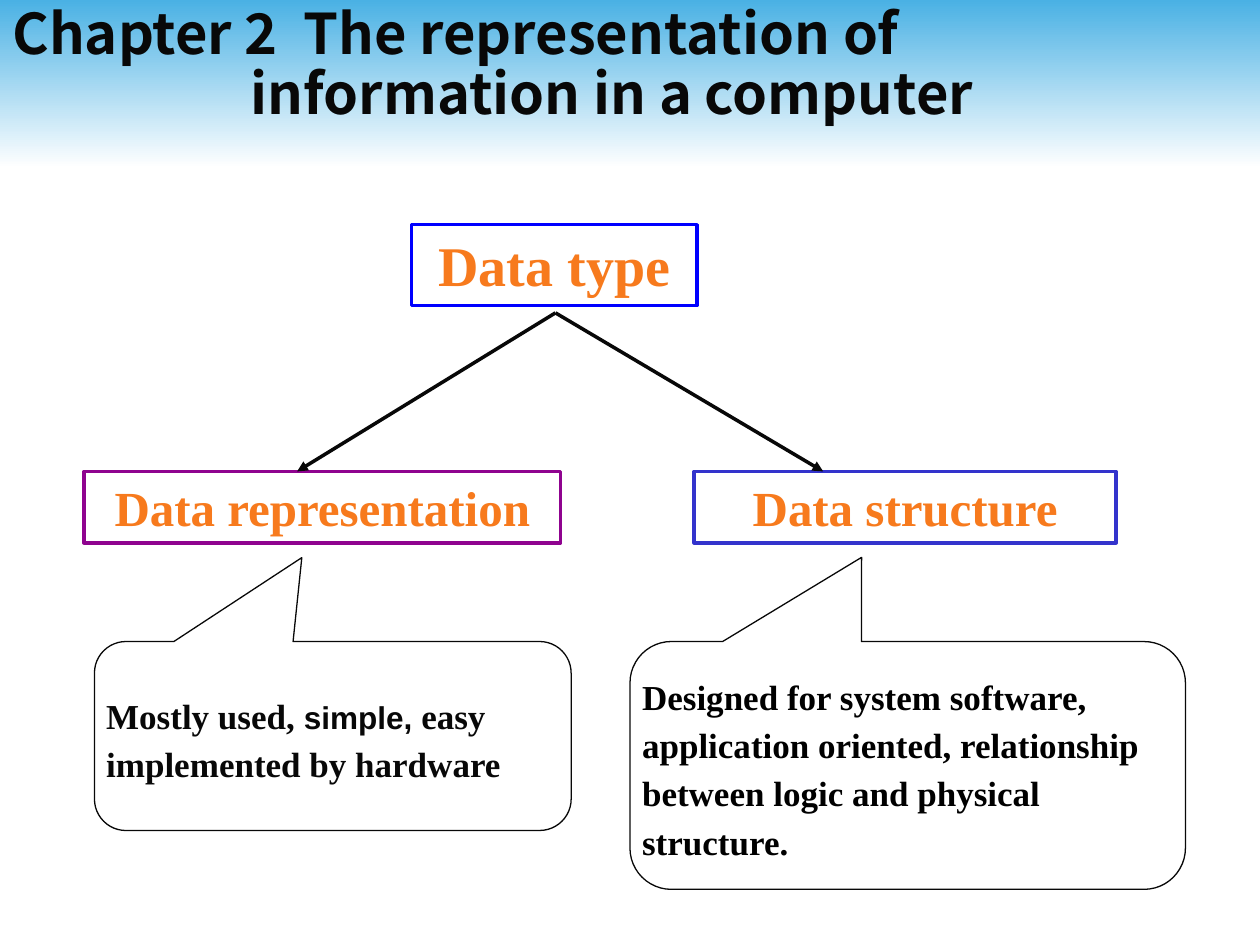
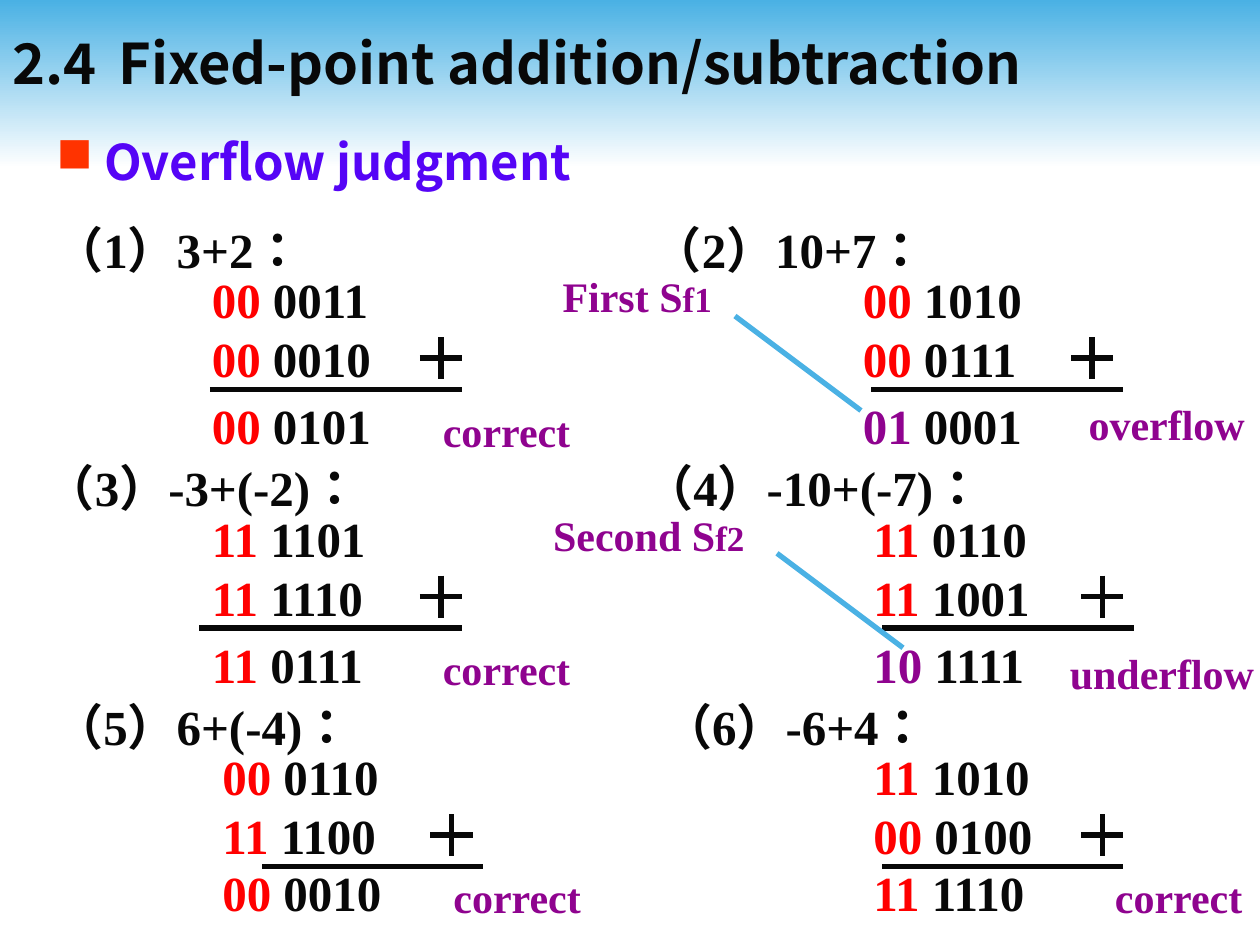
from dataclasses import dataclass
from typing import NamedTuple

from lxml import etree
from pptx import Presentation
from pptx.dml.color import RGBColor
from pptx.enum.shapes import MSO_CONNECTOR, MSO_SHAPE
from pptx.enum.text import MSO_ANCHOR, MSO_AUTO_SIZE, PP_ALIGN
from pptx.oxml.ns import qn
from pptx.util import Inches, Pt

RECTANGLE = MSO_SHAPE.RECTANGLE
CALLOUT = MSO_SHAPE.ROUNDED_RECTANGULAR_CALLOUT
STRAIGHT = MSO_CONNECTOR.STRAIGHT
TOP, MIDDLE = MSO_ANCHOR.TOP, MSO_ANCHOR.MIDDLE
LEFT, CENTER = PP_ALIGN.LEFT, PP_ALIGN.CENTER
GROW, FIXED = MSO_AUTO_SIZE.SHAPE_TO_FIT_TEXT, MSO_AUTO_SIZE.NONE

# The slide is a grid of 120 columns by 90 rows of square cells.
COLUMNS, ROWS = 120, 90
WIDTH, HEIGHT = Inches(10), Inches(7.5)
CELL = WIDTH / COLUMNS

INK, BLACK, SKY, WHITE = "080808", "000000", "4AB1E4", "FFFFFF"
ORANGE, PURPLE, RED = "F77A1D", "8F038F", "FF0000"
BLUE, INDIGO, VIOLET, BULLET = "0000FF", "3333CC", "5504F6", "FF3300"
SERIF, SANS, HEADING = "Times New Roman", "Arial", "Noto Sans CJK JP"


class Area(NamedTuple):
    left: float
    top: float
    width: float
    height: float


class Point(NamedTuple):
    x: float
    y: float


class Span(NamedTuple):
    text: str
    colour: str = INK
    size: float = 28
    font: str = SERIF


@dataclass
class Para:
    spans: list[Span]
    align: PP_ALIGN = LEFT
    spacing: float = 1.0
    indent: float = 0
    tab: float = 0
    bullet: str = ""


@dataclass
class Topic:
    text: str
    area: Area
    size: float
    outline: str


@dataclass
class Remark:
    spans: list[Span]
    area: Area
    pointer: tuple[float, float]
    margin: float


@dataclass
class Sum:
    heading: str
    heading_left: float
    heading_width: float
    number_left: float
    numbers: list[str]
    rule: tuple[float, float]
    verdict: str
    verdict_area: Area
    sign_colour: str = RED
    lift: float = 0


@dataclass
class Pointer:
    text: str
    subscript: str
    area: Area
    start: Point
    end: Point


def cells(*counts: float) -> list[int]:
    return [round(count * CELL) for count in counts]


def colour_of(code: str) -> RGBColor:
    return RGBColor.from_string(code)


def add_element(parent, tag: str, **attributes: str):
    return etree.SubElement(parent, qn(tag), attributes)


def write_span(paragraph, span: Span) -> None:
    run = paragraph.add_run()
    run.text = span.text
    values = {"name": span.font, "size": Pt(span.size), "bold": True}
    for name, value in values.items():
        setattr(run.font, name, value)
    run.font.color.rgb = colour_of(span.colour)
    add_element(run.font._element, "a:ea", typeface=HEADING)


def write_para(paragraph, para: Para) -> None:
    paragraph.alignment = para.align
    paragraph.line_spacing = para.spacing
    properties = paragraph._p.get_or_add_pPr()
    if para.indent:
        properties.set("marL", str(Inches(para.indent)))
    if para.bullet:
        properties.set("indent", str(-Inches(para.indent)))
        colour = add_element(properties, "a:buClr")
        add_element(colour, "a:srgbClr", val=BULLET)
        add_element(properties, "a:buChar", char=para.bullet)
    if para.tab:
        tabs = add_element(properties, "a:tabLst")
        add_element(tabs, "a:tab", pos=str(Inches(para.tab)), algn="l")
    for span in para.spans:
        write_span(paragraph, span)


def write_text(box, paras: list[Para], **changes) -> None:
    """Fill a box; changes override the usual frame settings."""
    frame = box.text_frame
    settings = {
        "word_wrap": True, "auto_size": GROW, "vertical_anchor": TOP,
        "margin_left": Inches(0.1), "margin_right": Inches(0.1),
        "margin_top": Inches(0.05), "margin_bottom": Inches(0.05),
    }
    for name, value in (settings | changes).items():
        setattr(frame, name, value)
    for index, para in enumerate(paras):
        write_para(frame.add_paragraph() if index else frame.paragraphs[0], para)


def add_label(slide, area: Area, *paras: Para, **changes) -> None:
    write_text(slide.shapes.add_textbox(*cells(*area)), list(paras), **changes)


def add_outline(slide, kind: MSO_SHAPE, area: Area, colour: str, weight: float):
    shape = slide.shapes.add_shape(kind, *cells(*area))
    shape.shadow.inherit = False
    shape.fill.background()
    shape.line.color.rgb = colour_of(colour)
    shape.line.width = Pt(weight)
    return shape


def add_line(slide, start: Point, end: Point, colour: str = INK,
             weight: float = 3, arrow: bool = False) -> None:
    line = slide.shapes.add_connector(STRAIGHT, *cells(*start, *end))
    line.line.color.rgb = colour_of(colour)
    line.line.width = Pt(weight)
    if arrow:
        add_element(line.line._get_or_add_ln(), "a:tailEnd", type="triangle")
    add_element(line._element.spPr, "a:effectLst")


def start_slide(deck, *title: Para):
    """Add a slide with the shared gradient band and title."""
    slide = deck.slides.add_slide(deck.slide_layouts[6])
    band = slide.shapes.add_shape(RECTANGLE, 0, 0, WIDTH, cells(16)[0])
    band.shadow.inherit = False
    band.line.fill.background()
    band.fill.gradient()
    band.fill.gradient_angle = 270
    for stop, colour, position in zip(band.fill.gradient_stops, (SKY, WHITE), (0, 1)):
        stop.color.rgb = colour_of(colour)
        stop.position = position
    add_label(slide, Area(0, 0.6, 114.1, 11.4), *title,
              vertical_anchor=MIDDLE, auto_size=FIXED)
    return slide


def title_line(text: str, tab: float = 0, indent: float = 0) -> Para:
    return Para([Span(text, INK, 32, HEADING)], spacing=0.9, tab=tab, indent=indent)


TOPICS = [
    Topic("Data type", Area(39.2, 21.4, 27.2, 7.7), 32, BLUE),
    Topic("Data structure", Area(66.1, 44.9, 40.2, 6.8), 28, INDIGO),
    Topic("Data representation", Area(8, 44.9, 45.4, 6.8), 28, PURPLE),
]
BRANCH_START = Point(52.9, 29.8)
BRANCH_ENDS = [Point(28.3, 44.9), Point(78.4, 44.9)]
REMARKS = [
    Remark([Span("Mostly used, ", size=20), Span("simple, ", size=18, font=SANS),
            Span("easy implemented by hardware", size=20)],
           Area(9, 61.1, 45.4, 18), (-0.065, -0.944), 0.02),
    Remark([Span("Designed for system software, application oriented, relationship "
                 "between logic and physical structure.", BLACK, 20)],
           Area(60, 61.1, 52.9, 23.6), (-0.083, -0.84), 0),
]

SUMS = [
    Sum("（1）3+2：", 4, 27, 19, ["00 0011", "00 0010", "00 0101"], (20, 44),
        "correct", Area(41, 38, 15, 6)),
    Sum("（2）10+7：", 61, 46, 81, ["00 1010", "00 0111", "01 0001"], (83, 107),
        "overflow", Area(102.5, 37.4, 17.5, 6), PURPLE),
    Sum("（3）-3+(-2)：", 3.2, 44, 19, ["11 1101", "11 1110", "11 0111"], (19, 44),
        "correct", Area(41, 60.7, 15, 6)),
    Sum("（4）-10+(-7)：", 60.2, 49, 82, ["11 0110", "11 1001", "10 1111"], (84, 108),
        "underflow", Area(100.7, 61.1, 20.8, 6), PURPLE),
    Sum("（5）6+(-4)：", 4, 41, 20, ["00 0110", "11 1100", "00 0010"], (25, 46),
        "correct", Area(42, 82.4, 15, 6), lift=1),
    Sum("（6）-6+4：", 62, 43, 82, ["11 1010", "00 0100", "11 1110"], (84, 107),
        "correct", Area(105, 82.4, 15, 6), lift=1),
]
SUM_TOP, SUM_PITCH, SUMS_PER_ROW = 20.3, 22.72, 2
POINTERS = [
    Pointer("First S", "f1", Area(52.4, 25.2, 20.5, 6), Point(70, 30.1), Point(82, 39.1)),
    Pointer("Second S", "f2", Area(51.5, 47.9, 21.4, 6), Point(74, 52.7), Point(86, 61.7)),
]


def number_para(number: str, sign_colour: str = RED) -> Para:
    """Colour the two sign bits of a number."""
    return Para([Span(number[:2], sign_colour), Span(number[2:])])


def add_sum(slide, item: Sum, top: float) -> None:
    *operands, result = item.numbers
    add_label(slide, Area(item.heading_left, top, item.heading_width, 6.8),
              Para([Span(item.heading)]))
    add_label(slide, Area(item.number_left, top + 4.8, 24, 12.5),
              *map(number_para, operands))
    add_label(slide, Area(item.number_left, top + 16.8 - item.lift, 23, 6.8),
              number_para(result, item.sign_colour))
    plus = Point(item.number_left + 23, top + 13.8)
    add_line(slide, Point(plus.x - 2, plus.y), Point(plus.x + 2, plus.y))
    add_line(slide, Point(plus.x, plus.y - 2), Point(plus.x, plus.y + 2))
    add_line(slide, *(Point(x, top + 16.8) for x in item.rule))
    add_label(slide, item.verdict_area, Para([Span(item.verdict, PURPLE, 24)]))


def build_data_types(deck) -> None:
    slide = start_slide(deck, title_line("Chapter 2\tThe representation of", tab=2.31),
                        title_line("information in a computer", indent=1.89))
    for topic in TOPICS:
        box = add_outline(slide, RECTANGLE, topic.area, topic.outline, 2)
        write_text(box, [Para([Span(topic.text, ORANGE, topic.size)], CENTER)])
    for end in BRANCH_ENDS:
        add_line(slide, BRANCH_START, end, weight=2, arrow=True)
    for remark in REMARKS:
        box = add_outline(slide, CALLOUT, remark.area, INK, 0.75)
        for index, value in enumerate(remark.pointer):
            box.adjustments[index] = value
        write_text(box, [Para(remark.spans, spacing=1.15)], vertical_anchor=MIDDLE,
                   auto_size=FIXED, margin_left=Inches(remark.margin), margin_right=0)


def build_overflow(deck) -> None:
    slide = start_slide(deck, title_line("2.4\tFixed-point addition/subtraction", tab=0.84))
    for index, item in enumerate(SUMS):
        add_sum(slide, item, SUM_TOP + SUM_PITCH * (index // SUMS_PER_ROW))
    for pointer in POINTERS:
        add_line(slide, pointer.start, pointer.end, SKY)
        add_label(slide, pointer.area, Para([Span(pointer.text, PURPLE, 24),
                                             Span(pointer.subscript, PURPLE, 20)]))
    add_label(slide, Area(4.2, 11.9, 59.5, 6.8),
              Para([Span("Overflow judgment", VIOLET, 28, HEADING)],
                   indent=0.38, bullet="■"))


def main() -> None:
    deck = Presentation()
    deck.slide_width, deck.slide_height = WIDTH, cells(ROWS)[0]
    build_data_types(deck)
    build_overflow(deck)
    deck.save("out.pptx")


if __name__ == "__main__":
    main()
